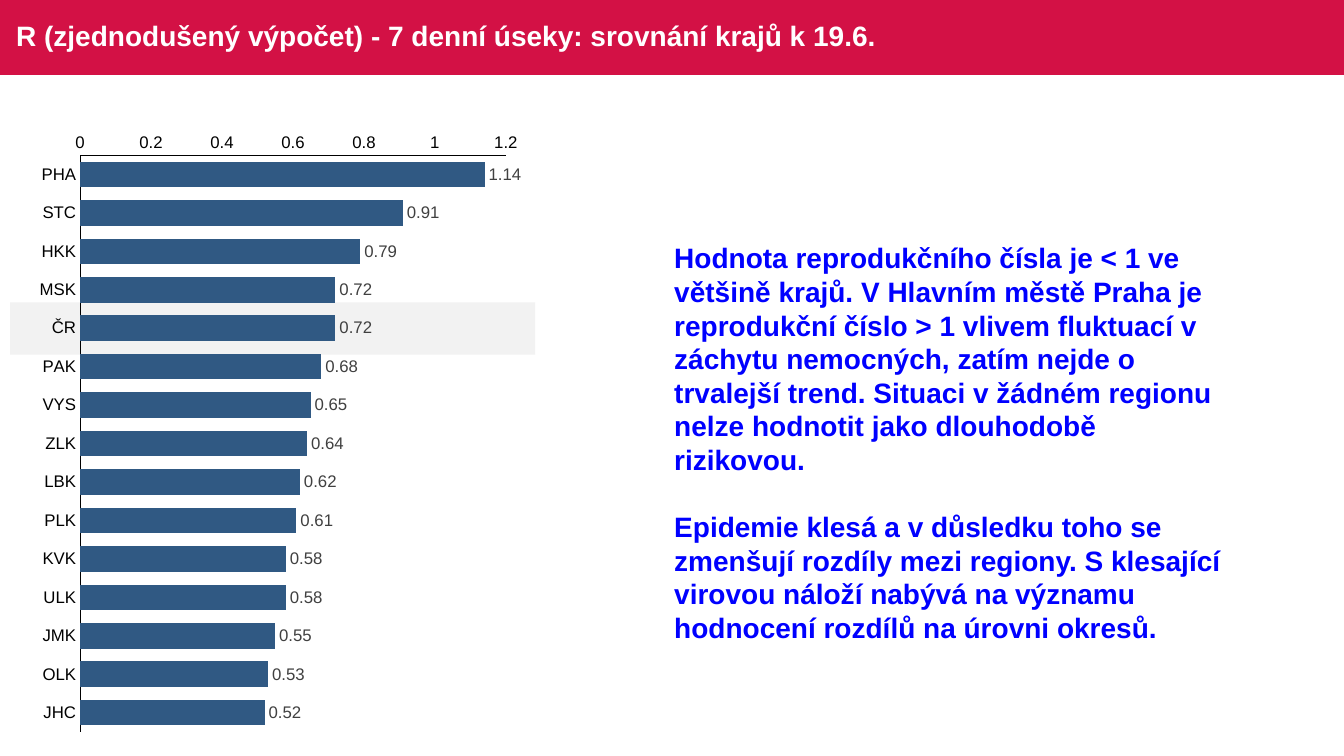
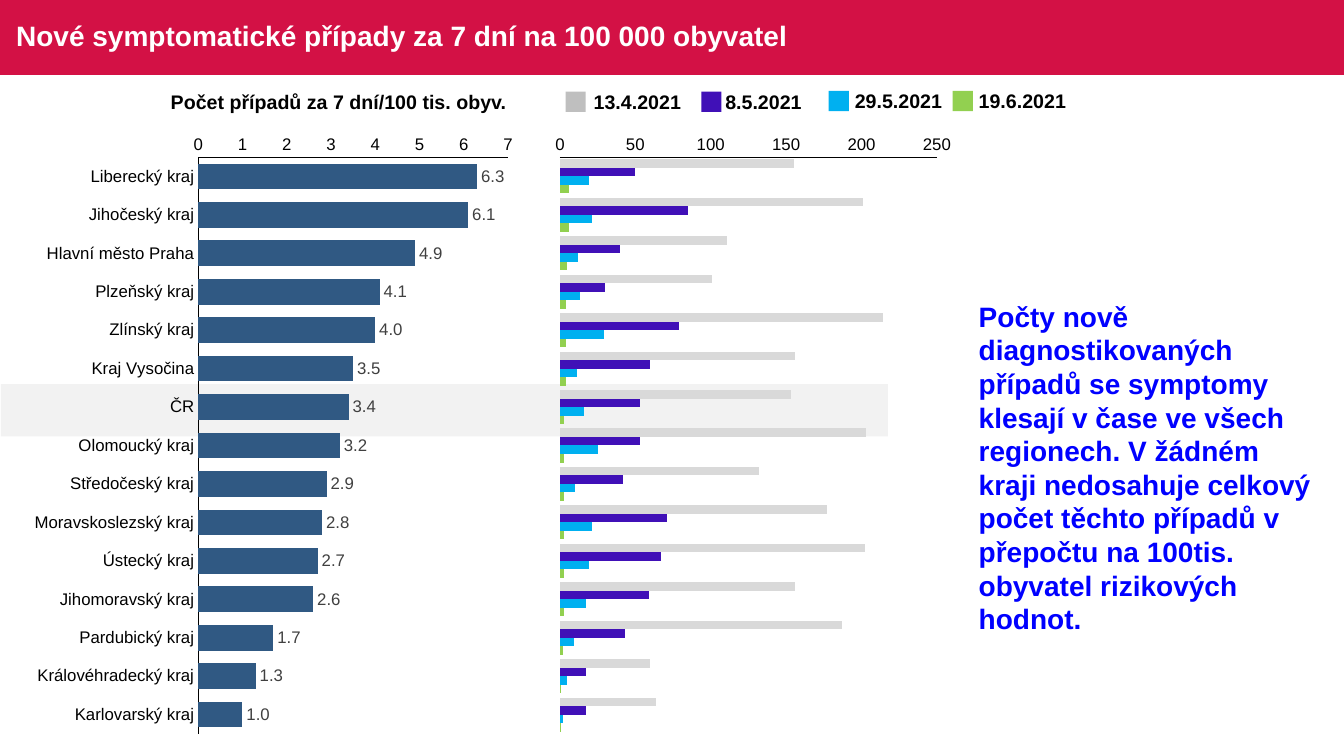
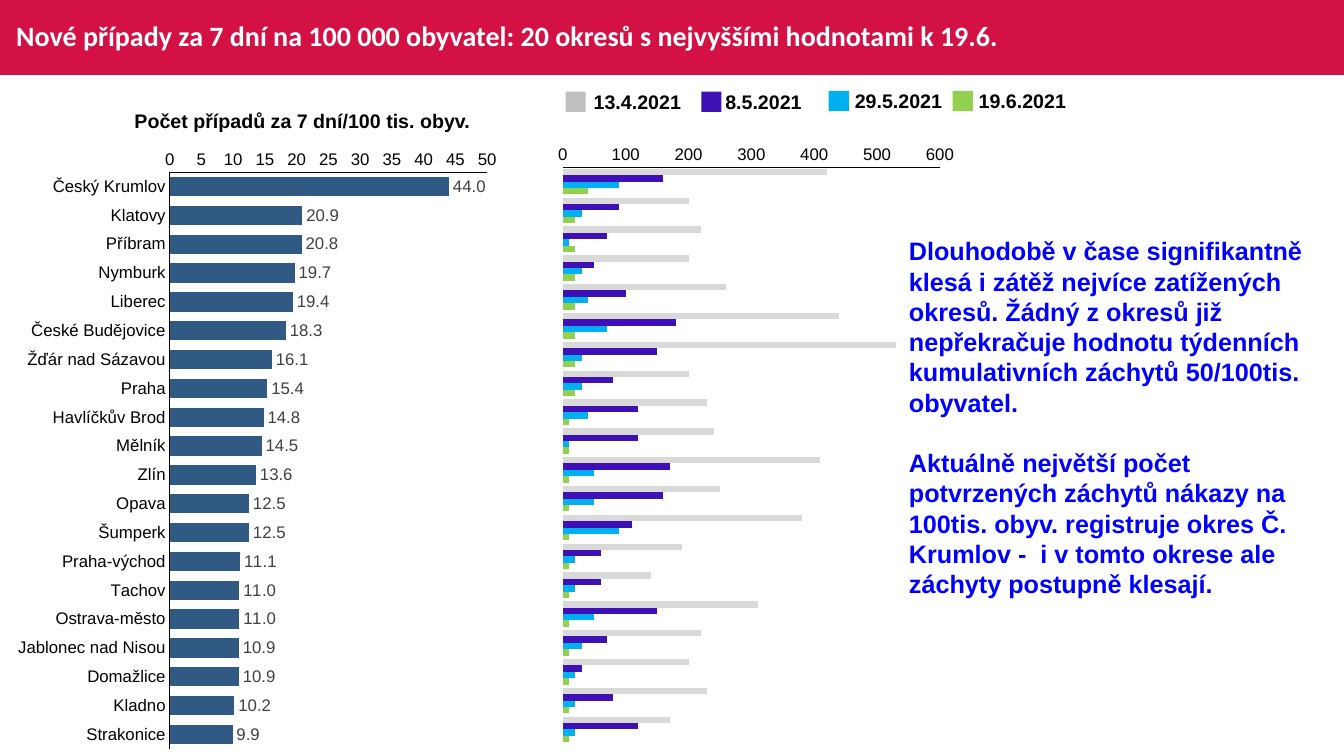
from lxml import etree
from pptx import Presentation
from pptx.chart.data import CategoryChartData
from pptx.dml.color import RGBColor
from pptx.enum.chart import XL_CHART_TYPE, XL_LABEL_POSITION, XL_TICK_MARK
from pptx.enum.shapes import MSO_SHAPE
from pptx.enum.text import MSO_ANCHOR, MSO_AUTO_SIZE, PP_ALIGN
from pptx.oxml import parse_xml
from pptx.oxml.ns import nsdecls, qn
from pptx.util import Pt

CRIMSON, WHITE, BLACK, BLUE = "D31145", "FFFFFF", "000000", "0000FF"
HIGHLIGHT, BAR, LABEL = "F2F2F2", "305983", "404040"
PERIOD_COLORS = ["D9D9D9", "4010B7", "00B0F0", "92D050"]
CHART_HEIGHT, PLOT_HEIGHT = 445.7, 412
RATE_CAPTION = "Počet případů za 7 dní/100 tis. obyv."

# Legend entries: text, colour, swatch left, label left, label width, top
LEGEND = [
    ("13.4.2021", "BFBFBF", 404, 417, 77, 60.5),
    ("8.5.2021", "4010B7", 501, 511, 69, 60.5),
    ("29.5.2021", "00B0F0", 592, 603.5, 77, 60),
    ("19.6.2021", "92D050", 680.5, 692, 77, 60),
]


def color(value):
    return RGBColor.from_string(value)


class Deck:
    """Holds the shared style and the slide being built."""

    def __init__(self):
        self.presentation = Presentation()
        self.presentation.slide_width = Pt(960)
        self.presentation.slide_height = Pt(540)
        self.layout = self.presentation.slide_layouts[5]
        self.slide = None

    def add_slide(self, title, width=864.7, font="Arial"):
        first = self.slide is None
        self.slide = self.presentation.slides.add_slide(self.layout)
        if first:
            # The band belongs to the master, behind everything else
            band = self.rectangle(0, 0, 960, 53.5, CRIMSON)
            self.presentation.slide_master.shapes.element.insert(2, band.element)
        shape = self.slide.shapes.title
        shape.left, shape.top = Pt(4.3), Pt(0)
        shape.width, shape.height = Pt(width), Pt(53.5)
        frame = shape.text_frame
        frame.text = title
        frame.auto_size = MSO_AUTO_SIZE.NONE
        frame.vertical_anchor = MSO_ANCHOR.MIDDLE
        paragraph = frame.paragraphs[0]
        paragraph.alignment = PP_ALIGN.LEFT
        paragraph.line_spacing = 0.9
        self.style(paragraph.font, 20, WHITE, True, font)

    def style(self, font, size, hex_color, bold=False, name="Arial"):
        font.name, font.size, font.bold = name, Pt(size), bold
        font.color.rgb = color(hex_color)

    def rectangle(self, left, top, width, height, fill):
        shape = self.slide.shapes.add_shape(
            MSO_SHAPE.RECTANGLE, Pt(left), Pt(top), Pt(width), Pt(height))
        shape.shadow.inherit = False
        shape.fill.solid()
        shape.fill.fore_color.rgb = color(fill)
        shape.line.fill.background()
        return shape

    def text(self, left, top, width, height, paragraphs, size, hex_color,
             wrap=True, align=PP_ALIGN.LEFT):
        box = self.slide.shapes.add_textbox(Pt(left), Pt(top), Pt(width), Pt(height))
        frame = box.text_frame
        frame.word_wrap = wrap
        for index, content in enumerate(paragraphs):
            paragraph = frame.add_paragraph() if index else frame.paragraphs[0]
            paragraph.text = content
            paragraph.alignment = align
            if index:
                paragraph.space_before = Pt(1.2 * size)
            self.style(paragraph.font, size, hex_color, True)

    def comment(self, left, top, width, height, paragraphs, size=20):
        self.text(left, top, width, height, paragraphs, size, BLUE)

    def caption(self, left, top):
        self.text(left, top, 255, 24.2, [RATE_CAPTION], 14, BLACK,
                  False, PP_ALIGN.CENTER)

    def legend(self):
        for label, fill, swatch_left, label_left, width, top in LEGEND:
            self.rectangle(swatch_left, top + 5, 14.4, 14.4, fill)
            self.text(label_left, top, width, 24.2, [label], 14, BLACK, False)

    def format_axis(self, axis):
        axis.major_tick_mark = axis.minor_tick_mark = XL_TICK_MARK.NONE
        axis.has_major_gridlines = False
        self.style(axis.tick_labels.font, 12, BLACK)
        axis.format.line.color.rgb = color(BLACK)
        axis.format.line.width = Pt(0.75)

    def bar_chart(self, left, top, width, plot, categories, series, colors,
                  maximum, step, label_format=None):
        """Draw bars; plot is the left, top and width of the inner plot area."""
        data = CategoryChartData()
        data.categories = categories
        for number, values in enumerate(series, 1):
            data.add_series(f"Series {number}", values)
        chart = self.slide.shapes.add_chart(
            XL_CHART_TYPE.BAR_CLUSTERED, Pt(left), Pt(top), Pt(width),
            Pt(CHART_HEIGHT), data).chart
        chart.has_legend = chart.has_title = False
        self.style(chart.font, 10, BLACK)

        # Axes
        value_axis, category_axis = chart.value_axis, chart.category_axis
        self.format_axis(value_axis)
        value_axis.minimum_scale, value_axis.maximum_scale = 0, maximum
        value_axis.major_unit = step
        value_axis.tick_labels.number_format = "General"
        value_axis.tick_labels.number_format_is_linked = False
        self.format_axis(category_axis)
        category_axis.reverse_order = True
        category_axis.visible = label_format is not None

        # Bars and value labels
        bars = chart.plots[0]
        bars.gap_width, bars.overlap = 50, 0
        bars.vary_by_categories = False
        for item, fill in zip(bars.series, colors):
            item.format.fill.solid()
            item.format.fill.fore_color.rgb = color(fill)
        if label_format:
            bars.has_data_labels = True
            labels = bars.data_labels
            labels.show_value = True
            labels.position = XL_LABEL_POSITION.OUTSIDE_END
            labels.number_format = label_format
            labels.number_format_is_linked = False
            self.style(labels.font, 12, LABEL)

        # Transparent background and fixed plot area
        space = chart.element
        space.find(qn("c:chart")).addnext(parse_xml(
            f'<c:spPr {nsdecls("c", "a")}><a:noFill/>'
            '<a:ln><a:noFill/></a:ln></c:spPr>'))
        plot_area = space.find(".//" + qn("c:plotArea"))
        for old in plot_area.findall(qn("c:layout")):
            plot_area.remove(old)
        layout = etree.Element(qn("c:layout"))
        manual = etree.SubElement(layout, qn("c:manualLayout"))
        plot_left, plot_top, plot_width = plot
        settings = [
            ("layoutTarget", "inner"), ("xMode", "edge"), ("yMode", "edge"),
            ("x", (plot_left - left) / width),
            ("y", (plot_top - top) / CHART_HEIGHT),
            ("w", plot_width / width), ("h", PLOT_HEIGHT / CHART_HEIGHT),
        ]
        for tag, value in settings:
            etree.SubElement(manual, qn("c:" + tag)).set("val", str(value))
        plot_area.insert(0, layout)

    def ranking(self, left, top, plot, categories, values, maximum, step,
                label_format="#,##0.0"):
        self.bar_chart(left, top, 355.7, plot, categories, [values], [BAR],
                       maximum, step, label_format)

    def history(self, left, top, plot, series, maximum, step):
        categories = [str(number) for number in range(1, len(series[0]) + 1)]
        self.bar_chart(left, top, 294.5, plot, categories, series,
                       PERIOD_COLORS, maximum, step)


def main():
    deck = Deck()

    # Reproduction number by region
    deck.add_slide("R (zjednodušený výpočet) - 7 denní úseky: srovnání krajů k 19.6.")
    deck.rectangle(7.2, 216, 375, 37.4, HIGHLIGHT)
    deck.ranking(
        21.6, 86.4, (57.2, 110.9, 304.2),
        ["PHA", "STC", "HKK", "MSK", "ČR", "PAK", "VYS", "ZLK", "LBK", "PLK",
         "KVK", "ULK", "JMK", "OLK", "JHC"],
        [1.14, 0.91, 0.79, 0.72, 0.72, 0.68, 0.65, 0.64, 0.62, 0.61,
         0.58, 0.58, 0.55, 0.53, 0.52], 1.2, 0.2, "#,##0.00")
    deck.comment(474.5, 168.5, 409, 298, [
        "Hodnota reprodukčního čísla je < 1 ve většině krajů. V Hlavním městě "
        "Praha je reprodukční číslo > 1 vlivem fluktuací v záchytu nemocných, "
        "zatím nejde o trvalejší trend. Situaci v žádném regionu nelze hodnotit "
        "jako dlouhodobě rizikovou.",
        "Epidemie klesá a v důsledku toho se zmenšují rozdíly mezi regiony. "
        "S klesající virovou náloží nabývá na významu hodnocení rozdílů na "
        "úrovni okresů."])

    # Symptomatic cases by region
    deck.add_slide("Nové symptomatické případy za 7 dní na 100 000 obyvatel", 940.3)
    deck.rectangle(0.7, 274.3, 633.6, 37.4, HIGHLIGHT)
    deck.history(391, 87.8, (400, 112.3, 269.3), [
        [155, 201, 111, 101, 214, 156, 153, 203, 132, 177, 202, 156, 187, 60, 64],
        [50, 85, 40, 30, 79, 60, 53, 53, 42, 71, 67, 59, 43, 17, 17],
        [19, 21, 12, 13, 29, 11, 16, 25, 10, 21, 19, 17, 9, 5, 2],
        [6, 6, 5, 4, 4, 4, 3, 3, 3, 3, 3, 3, 2, 1, 1]], 250, 50)
    deck.ranking(
        18, 87.8, (141.6, 112.3, 221.4),
        ["Liberecký kraj", "Jihočeský kraj", "Hlavní město Praha",
         "Plzeňský kraj", "Zlínský kraj", "Kraj Vysočina", "ČR",
         "Olomoucký kraj", "Středočeský kraj", "Moravskoslezský kraj",
         "Ústecký kraj", "Jihomoravský kraj", "Pardubický kraj",
         "Královéhradecký kraj", "Karlovarský kraj"],
        [6.3, 6.1, 4.9, 4.1, 4, 3.5, 3.4, 3.2, 2.9, 2.8, 2.7, 2.6, 1.7, 1.3, 1],
        7, 1)
    deck.comment(692, 210.2, 258.5, 250, [
        "Počty nově diagnostikovaných případů se symptomy klesají v čase ve "
        "všech regionech. V žádném kraji nedosahuje celkový počet těchto "
        "případů v přepočtu na 100tis. obyvatel rizikových hodnot."])
    deck.caption(114.5, 60.5)
    deck.legend()

    # Districts with the highest values
    deck.add_slide("Nové případy za 7 dní na 100 000 obyvatel: 20 okresů "
                   "s nejvyššími hodnotami k 19.6.", font="Calibri")
    deck.ranking(
        5.8, 98.6, (121.2, 123, 226.8),
        ["Český Krumlov", "Klatovy", "Příbram", "Nymburk", "Liberec",
         "České Budějovice", "Žďár nad Sázavou", "Praha", "Havlíčkův Brod",
         "Mělník", "Zlín", "Opava", "Šumperk", "Praha-východ", "Tachov",
         "Ostrava-město", "Jablonec nad Nisou", "Domažlice", "Kladno",
         "Strakonice"],
        [44, 20.9, 20.8, 19.7, 19.4, 18.3, 16.1, 15.4, 14.8, 14.5,
         13.6, 12.5, 12.5, 11.1, 11, 11, 10.9, 10.9, 10.2, 9.9], 50, 5)
    deck.caption(88.6, 74.2)
    deck.history(393, 95, (402.1, 119.4, 269.3), [
        [420, 200, 220, 200, 260, 440, 530, 200, 230, 240,
         410, 250, 380, 190, 140, 310, 220, 200, 230, 170],
        [160, 90, 70, 50, 100, 180, 150, 80, 120, 120,
         170, 160, 110, 60, 60, 150, 70, 30, 80, 120],
        [90, 30, 10, 30, 40, 70, 30, 30, 40, 10,
         50, 50, 90, 20, 20, 50, 30, 20, 20, 20],
        [40] + [20] * 7 + [10] * 12], 600, 100)
    deck.comment(642.2, 164.9, 312.5, 269.3, [
        "Dlouhodobě v čase signifikantně klesá i zátěž nejvíce zatížených "
        "okresů. Žádný z okresů již nepřekračuje hodnotu týdenních "
        "kumulativních záchytů 50/100tis. obyvatel.",
        "Aktuálně největší počet potvrzených záchytů nákazy na 100tis. obyv. "
        "registruje okres Č. Krumlov -  i v tomto okrese ale záchyty postupně "
        "klesají."], 18)
    deck.legend()

    deck.presentation.save("out.pptx")


if __name__ == "__main__":
    main()
